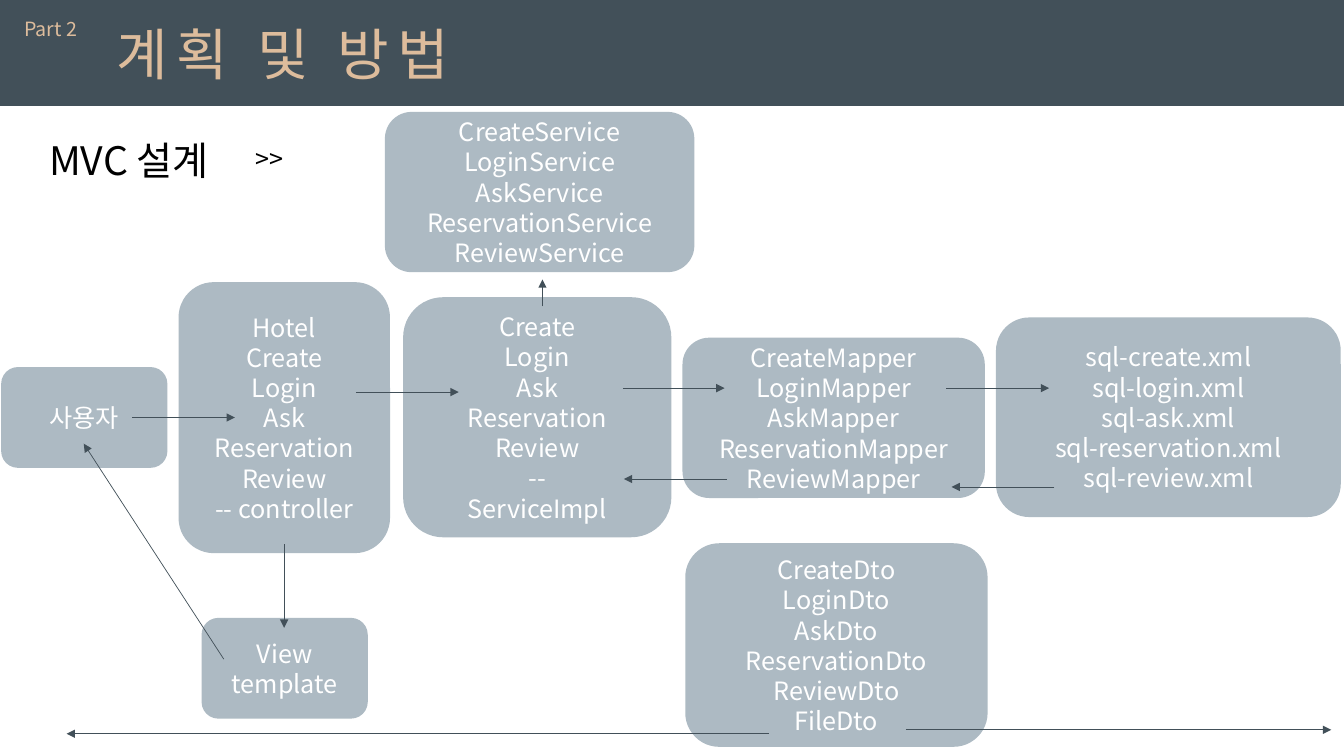
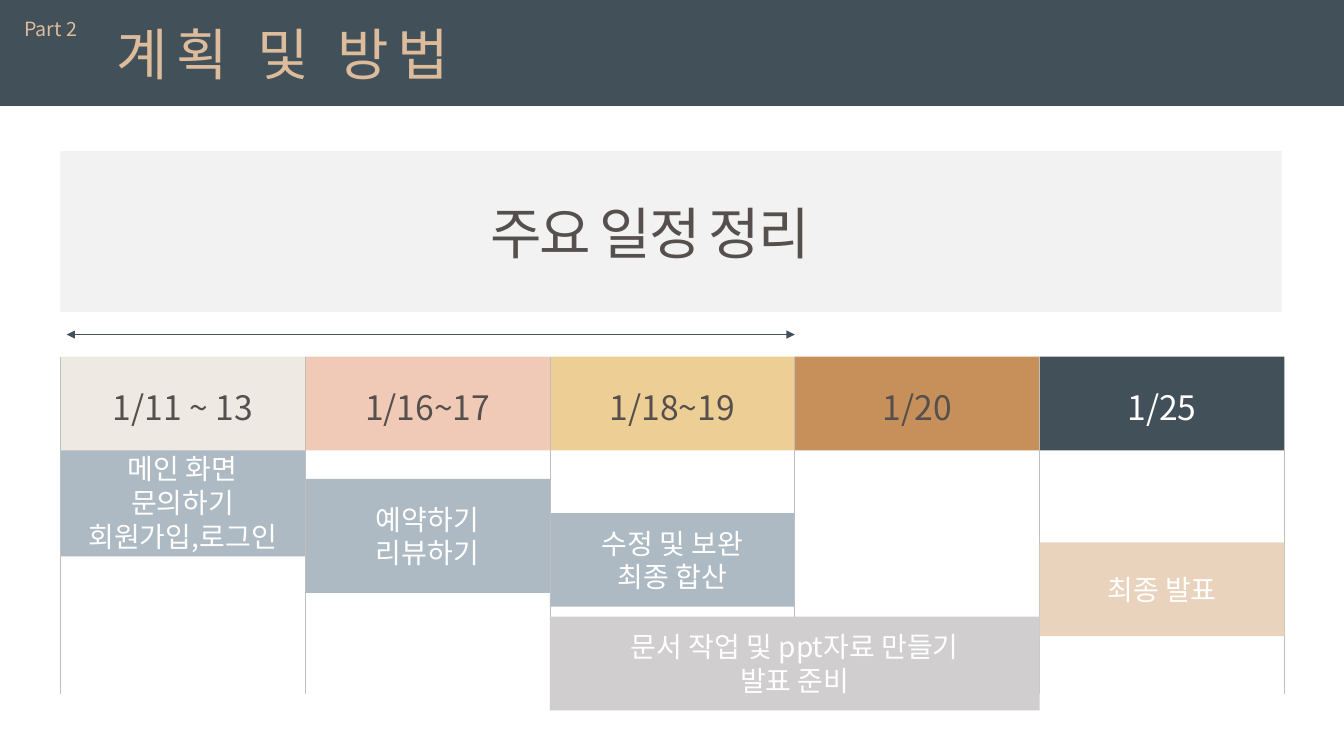
"""Build two project-plan slides: the MVC design and the schedule."""
from typing import NamedTuple

from lxml import etree
from pptx import Presentation, util as u
from pptx.dml import color
from pptx.enum import shapes, text
from pptx.oxml import ns

FONT = "Noto Sans CJK KR"
COLORS = {
    "navy": "425059", "tan": "DDBC9C", "steel": "ADBAC3", "white": "FFFFFF",
    "black": "000000", "brown": "554F4D", "panel": "F2F2F2", "rule": "BFBFBF",
    "cream": "EEE9E2", "pink": "F0CAB6", "yellow": "EDCE95", "ochre": "C7905A",
    "beige": "E9D3BD", "gray": "D0CECE",
}
WIDTH, HEIGHT = 33.87, 19.05
RECT = shapes.MSO_SHAPE.RECTANGLE
ROUND = shapes.MSO_SHAPE.ROUNDED_RECTANGLE
COL_LEFT, COL_WIDTH, COL_TOP = 1.52, 6.17, 8.99


class Box(NamedTuple):
    left: float
    top: float
    width: float
    height: float


class Node(NamedTuple):
    box: Box
    lines: list[str]


class Arrow(NamedTuple):
    x1: float
    y1: float
    x2: float
    y2: float


class Day(NamedTuple):
    label: str
    fill: str
    ink: str = "brown"


class Task(NamedTuple):
    col: int
    span: int
    top: float
    height: float
    fill: str
    lines: list[str]


ENTITIES = ["Create", "Login", "Ask", "Reservation", "Review"]
NODES = [
    Node(Box(0.03, 9.25, 4.19, 2.54), ["사용자"]),
    Node(Box(4.5, 7.11, 5.33, 6.83), ["Hotel", *ENTITIES, "-- controller"]),
    Node(Box(10.16, 7.49, 6.76, 6.05), [*ENTITIES, "--", "ServiceImpl"]),
    Node(Box(17.2, 8.51, 7.62, 4.04), [f"{e}Mapper" for e in ENTITIES]),
    Node(Box(25.1, 8, 8.69, 5.03), [f"sql-{e.lower()}.xml" for e in ENTITIES]),
    Node(Box(5.08, 15.57, 4.19, 2.54), ["View", "template"]),
    Node(Box(17.27, 13.69, 7.62, 5.13), [f"{e}Dto" for e in [*ENTITIES, "File"]]),
    Node(Box(9.7, 2.82, 7.8, 4.04), [f"{e}Service" for e in ENTITIES]),
]
ARROWS = [
    Arrow(3.33, 10.52, 5.92, 10.52),
    Arrow(8.97, 9.88, 11.56, 9.88),
    Arrow(15.7, 9.78, 18.26, 9.78),
    Arrow(23.85, 9.78, 26.44, 9.78),
    Arrow(18.31, 12.07, 15.72, 12.07),
    Arrow(26.57, 12.27, 23.98, 12.27),
    Arrow(13.67, 7.72, 13.67, 7.04),
    Arrow(7.16, 13.72, 7.16, 15.82),
    Arrow(5.64, 16.61, 2.11, 11.18),
    Arrow(19.38, 18.49, 1.68, 18.49),
    Arrow(22.83, 18.39, 33.55, 18.39),
]
DAYS = [
    Day("1/11 ~ 13", "cream"),
    Day("1/16~17", "pink"),
    Day("1/18~19", "yellow"),
    Day("1/20", "ochre"),
    Day("1/25", "navy", "white"),
]
BUILD_TASKS = [
    Task(1, 1, 12.07, 2.87, "steel", ["예약하기", "리뷰하기"]),
    Task(0, 1, 11.3, 2.72, "steel", ["메인 화면", "문의하기", "회원가입,로그인"]),
    Task(2, 1, 12.93, 2.36, "steel", ["수정 및 보완", "최종 합산"]),
]
FINAL_TASKS = [
    Task(4, 1, 13.67, 2.36, "beige", ["최종 발표"]),
    Task(2, 2, 15.54, 2.36, "gray", ["문서 작업 및 ppt자료 만들기", "발표 준비"]),
]


def rgb(name: str) -> color.RGBColor:
    return color.RGBColor.from_string(COLORS[name])


def write(tf, lines: list[str], size: float, ink: str,
          center: bool = True, spacing: float = 0) -> None:
    for i, line in enumerate(lines):
        p = tf.add_paragraph() if i else tf.paragraphs[0]
        p.add_run().text = line
        p.alignment = text.PP_ALIGN.CENTER if center else text.PP_ALIGN.LEFT
        p.font.size = u.Pt(size)
        p.font.color.rgb = rgb(ink)
        p.font.name = FONT
        props = p.font._element
        etree.SubElement(props, ns.qn("a:ea"), typeface=FONT)
        if spacing:
            props.set("spc", str(round(spacing * 100)))


def add_box(s, kind, box: Box, fill: str, lines: list[str] | None = None,
            size: float = 18) -> None:
    sp = s.shapes.add_shape(kind, *map(u.Cm, box))
    sp.shadow.inherit = False
    sp.fill.solid()
    sp.fill.fore_color.rgb = rgb(fill)
    sp.line.fill.background()
    if lines:
        sp.text_frame.vertical_anchor = text.MSO_ANCHOR.MIDDLE
        write(sp.text_frame, lines, size, "white")


def add_label(s, box: Box, label: str, size: float, ink: str, center: bool = False,
              spacing: float = 0, wrap: bool = True) -> None:
    tf = s.shapes.add_textbox(*map(u.Cm, box)).text_frame
    tf.word_wrap = wrap
    tf.auto_size = text.MSO_AUTO_SIZE.SHAPE_TO_FIT_TEXT
    write(tf, [label], size, ink, center, spacing)


def add_line(s, line: Arrow, ink: str = "navy", ends: tuple[str, ...] = ("tailEnd",)) -> None:
    cn = s.shapes.add_connector(shapes.MSO_CONNECTOR.STRAIGHT, *map(u.Cm, line))
    cn.line.color.rgb = rgb(ink)
    cn.line.width = u.Pt(0.5)
    ln = cn.line._get_or_add_ln()
    for end in ends:
        etree.SubElement(ln, ns.qn(f"a:{end}"), type="triangle")
    etree.SubElement(cn._element.spPr, ns.qn("a:effectLst"))


def add_slide(prs):
    s = prs.slides.add_slide(prs.slide_layouts[6])
    add_box(s, RECT, Box(0, 0, WIDTH, 2.67), "navy")
    add_label(s, Box(0.36, 0.3, 2.08, 0.86), "Part 2", 14, "tan", wrap=False)
    add_label(s, Box(2.69, 0.36, 11.43, 1.96), "계획 및 방법", 40, "tan", spacing=6)
    return s


def add_design(prs) -> None:
    s = add_slide(prs)
    add_label(s, Box(6.2, 3.48, 1.32, 1.02), ">>", 18, "black")
    add_label(s, Box(0.99, 3.3, 5, 1.45), "MVC 설계", 28, "black")
    for node in NODES:
        add_box(s, ROUND, node.box, "steel", node.lines)
    for arrow in ARROWS:
        add_line(s, arrow)


def column_x(col: int) -> float:
    return COL_LEFT + col * COL_WIDTH


def add_tasks(s, tasks: list[Task]) -> None:
    for t in tasks:
        box = Box(column_x(t.col), t.top, t.span * COL_WIDTH, t.height)
        add_box(s, RECT, box, t.fill, t.lines, 20)


def add_schedule(prs) -> None:
    s = add_slide(prs)
    add_box(s, RECT, Box(COL_LEFT, 3.81, 30.78, 4.06), "panel")
    add_label(s, Box(11.94, 4.88, 8.89, 1.96), "주요 일정 정리", 40, "brown",
              center=True, spacing=-1.5, wrap=False)
    add_tasks(s, BUILD_TASKS)
    for i, day in enumerate(DAYS):
        add_box(s, RECT, Box(column_x(i), COL_TOP, COL_WIDTH, 2.36), day.fill)
        add_label(s, Box(column_x(i), 9.63, COL_WIDTH, 1.27), day.label, 24, day.ink,
                  center=True)
    for i in range(len(DAYS) + 1):
        add_line(s, Arrow(column_x(i), COL_TOP, column_x(i), 17.48), "rule", ())
    add_line(s, Arrow(1.68, 8.43, column_x(3), 8.43), ends=("headEnd", "tailEnd"))
    add_tasks(s, FINAL_TASKS)


def main() -> None:
    prs = Presentation()
    prs.slide_width, prs.slide_height = u.Cm(WIDTH), u.Cm(HEIGHT)
    add_design(prs)
    add_schedule(prs)
    prs.save("out.pptx")


if __name__ == "__main__":
    main()
